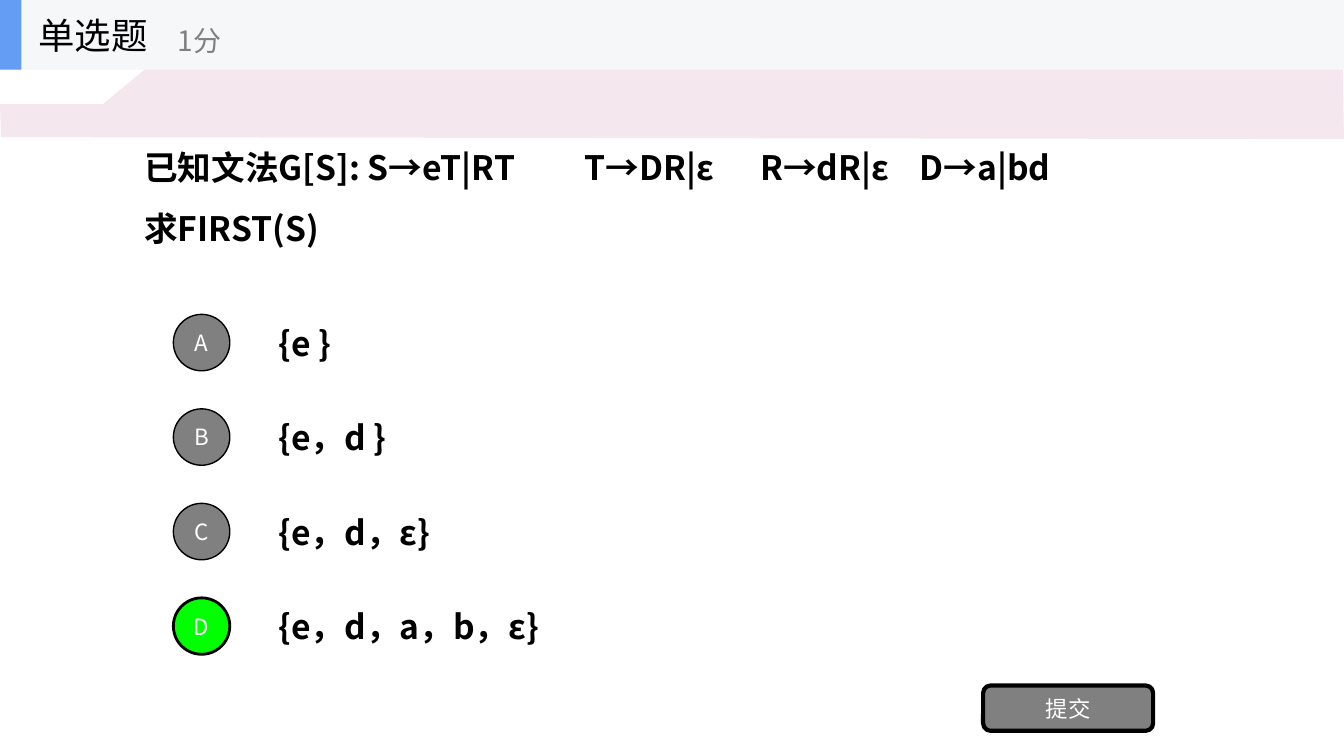
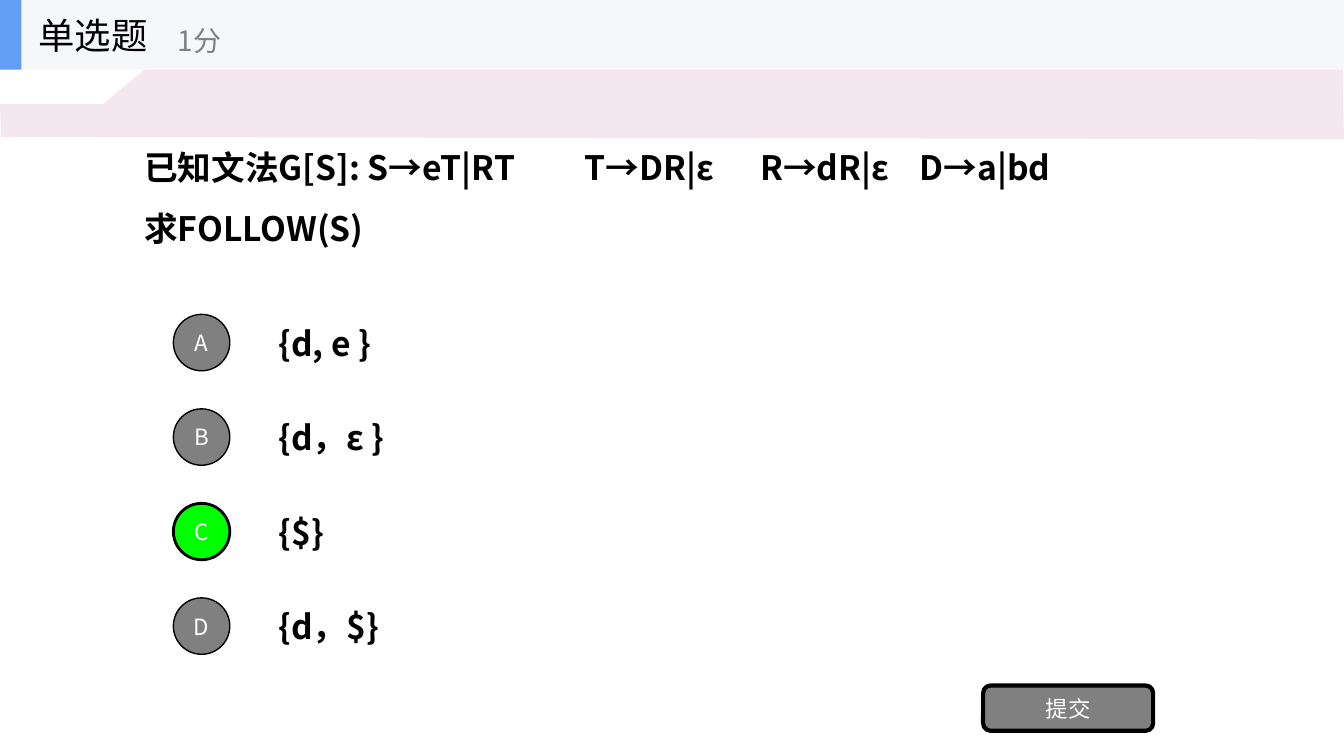
from collections import namedtuple
from pptx import Presentation
from pptx.dml.color import RGBColor as RGB
from pptx.enum.shapes import MSO_SHAPE as Kind
from pptx.enum.text import MSO_ANCHOR as Anchor, MSO_AUTO_SIZE as Auto, PP_ALIGN as Align
from pptx.oxml.ns import qn
from pptx.util import Inches, Pt

BLACK = RGB(0, 0, 0)
WHITE = RGB(255, 255, 255)
GRAY = RGB(0x80, 0x80, 0x80)
GREEN = RGB(0, 255, 0)
PINK = RGB(0xF4, 0xE7, 0xED)
PALE = RGB(0xF6, 0xF7, 0xF8)
BLUE = RGB(0x63, 0x9E, 0xF4)
FONT = "Noto Sans CJK SC"
TITLE = "单选题"
MARK = "1分"
SEND = "提交"
RULES = ("已知文法G[S]: S→eT|RT", "T→DR|ε", "R→dR|ε", "D→a|bd")
STOPS = (4.37, 6.11, 7.69)
EDGE = [(0, 65), (7.65, 65), (13.5, 0), (37.5, 0), (39.3, 21),
        (99.9, 20), (100, 100), (0.08, 98)]
TASKS = [
    ("求FIRST(S)", ("{e }", "{e，d }", "{e，d，ε}", "{e，d，a，b，ε}"), "D"),
    ("求FOLLOW(S)", ("{d, e }", "{d，ε }", "{$}", "{d，$}"), "C"),
]

Box = namedtuple("Box", "x y w h")
PAGE = Box(0, 0, Inches(13.33), Inches(7.5))


def cut(box, x, y, w, h):
    return Box(round(box.x + x * box.w), round(box.y + y * box.h),
               round(w * box.w), round(h * box.h))


HEAD = cut(PAGE, 0, 0, 1, 0.092)
BAND = cut(PAGE, 0, 0.052, 1, 0.132)
QUEST = cut(PAGE, 0.1, 0.092, 0.8, 0.312)
LIST = cut(PAGE, 0.129, 0.4063, 0.771, 0.5)
BUTTON = cut(PAGE, 0.7315, 0.9067, 0.1265, 0.06)


def put_run(para, text, size, color, bold=False):
    run = para.add_run()
    run.text = text
    font = run.font
    font.name, font.size, font.bold = FONT, Pt(size), bold
    font.color.rgb = color
    ea = font._element.makeelement(qn("a:ea"), {"typeface": FONT})
    font._element.find(qn("a:latin")).addnext(ea)


def set_frame(frame):
    frame.word_wrap = True
    frame.auto_size = Auto.NONE
    frame.vertical_anchor = Anchor.MIDDLE
    return frame


def add_text(slide, box, text, size, color, bold=False):
    frame = set_frame(slide.shapes.add_textbox(*box).text_frame)
    put_run(frame.paragraphs[0], text, size, color, bold)
    return frame


def paint(shape, fill, line=0):
    shape.shadow.inherit = False
    shape.fill.solid()
    shape.fill.fore_color.rgb = fill
    if line:
        shape.line.color.rgb = BLACK
        shape.line.width = Pt(line)
    else:
        shape.line.fill.background()
    return shape


def add_key(slide, kind, box, text, fill, line):
    shape = paint(slide.shapes.add_shape(kind, *box), fill, line)
    frame = set_frame(shape.text_frame)
    frame.margin_left = frame.margin_right = 0
    frame.margin_top = frame.margin_bottom = 0
    para = frame.paragraphs[0]
    para.alignment = Align.CENTER
    put_run(para, text, 16, WHITE)
    return shape


def share_back(slide, layout):
    dots = [(BAND.x + BAND.w * x / 100, BAND.y + BAND.h * y / 100) for x, y in EDGE]
    path = slide.shapes.build_freeform(*dots[0], scale=1.0)
    path.add_line_segments(dots[1:], close=True)
    parts = [paint(path.convert_to_shape(), PINK)]
    for share, color in ((1, PALE), (0.016, BLUE)):
        bar = slide.shapes.add_shape(Kind.RECTANGLE, *cut(HEAD, 0, 0, share, 1))
        parts.append(paint(bar, color))
    for part in parts:
        layout.shapes.element.append(part.element)


def fill_head(slide, box):
    title = slide.shapes.title
    title.left, title.top, title.width, title.height = cut(box, 0.021, 0, 0.156, 1)
    para = set_frame(title.text_frame).paragraphs[0]
    para.alignment = Align.LEFT
    put_run(para, TITLE, 26, BLACK)
    add_text(slide, cut(box, 0.125, 0.18, 0.1875, 0.81), MARK, 20, GRAY)


def fill_quest(slide, box, ask):
    frame = add_text(slide, box, "\t".join(RULES), 24, BLACK, True)
    first = frame.paragraphs[0]
    props = first._p.get_or_add_pPr()
    tabs = props.makeelement(qn("a:tabLst"), {})
    props.append(tabs)
    for stop in STOPS:
        tabs.append(tabs.makeelement(qn("a:tab"), {"pos": str(Inches(stop)), "algn": "l"}))
    last = frame.add_paragraph()
    put_run(last, ask, 24, BLACK, True)
    for para in (first, last):
        para.line_spacing = 1.5


def fill_list(slide, box, items, right):
    step = 1 / len(items)
    side = Inches(0.56)
    for row, (name, text) in enumerate(zip("ABCD", items)):
        cell = cut(box, 0, row * step, 1, step * 0.75)
        add_text(slide, cut(cell, 0.092, 0, 0.908, 1), text, 24, BLACK, True)
        spot = Box(cell.x, cell.y + (cell.h - side) // 2, side, side)
        fill, line = (GREEN, 2) if name == right else (GRAY, 1)
        add_key(slide, Kind.OVAL, spot, name, fill, line)


def add_quiz(deck, layout, ask, items, right):
    slide = deck.slides.add_slide(layout)
    fill_head(slide, HEAD)
    fill_quest(slide, QUEST, ask)
    fill_list(slide, LIST, items, right)
    add_key(slide, Kind.ROUNDED_RECTANGLE, BUTTON, SEND, GRAY, 3)
    return slide


def main():
    deck = Presentation()
    deck.slide_width, deck.slide_height = PAGE.w, PAGE.h
    layout = deck.slide_layouts[5]
    slides = [add_quiz(deck, layout, *task) for task in TASKS]
    share_back(slides[0], layout)
    deck.save("out.pptx")


if __name__ == "__main__":
    main()
